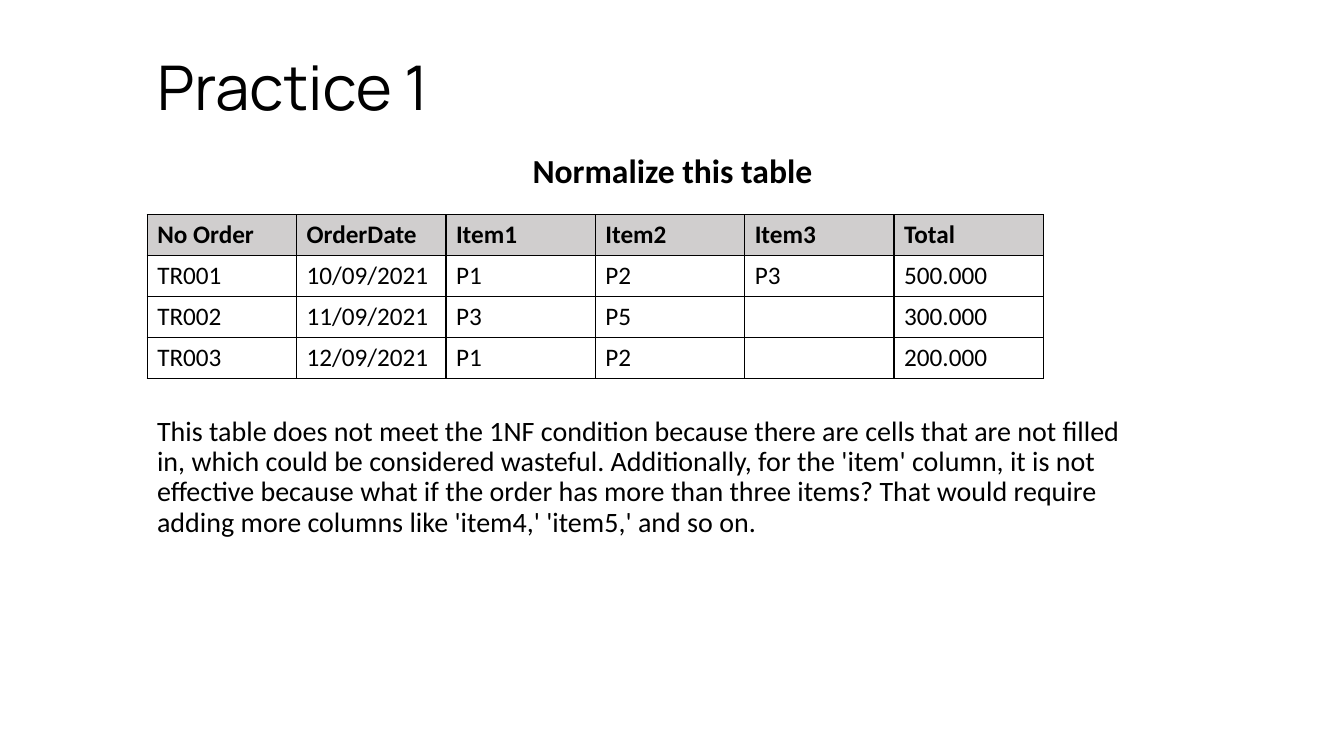
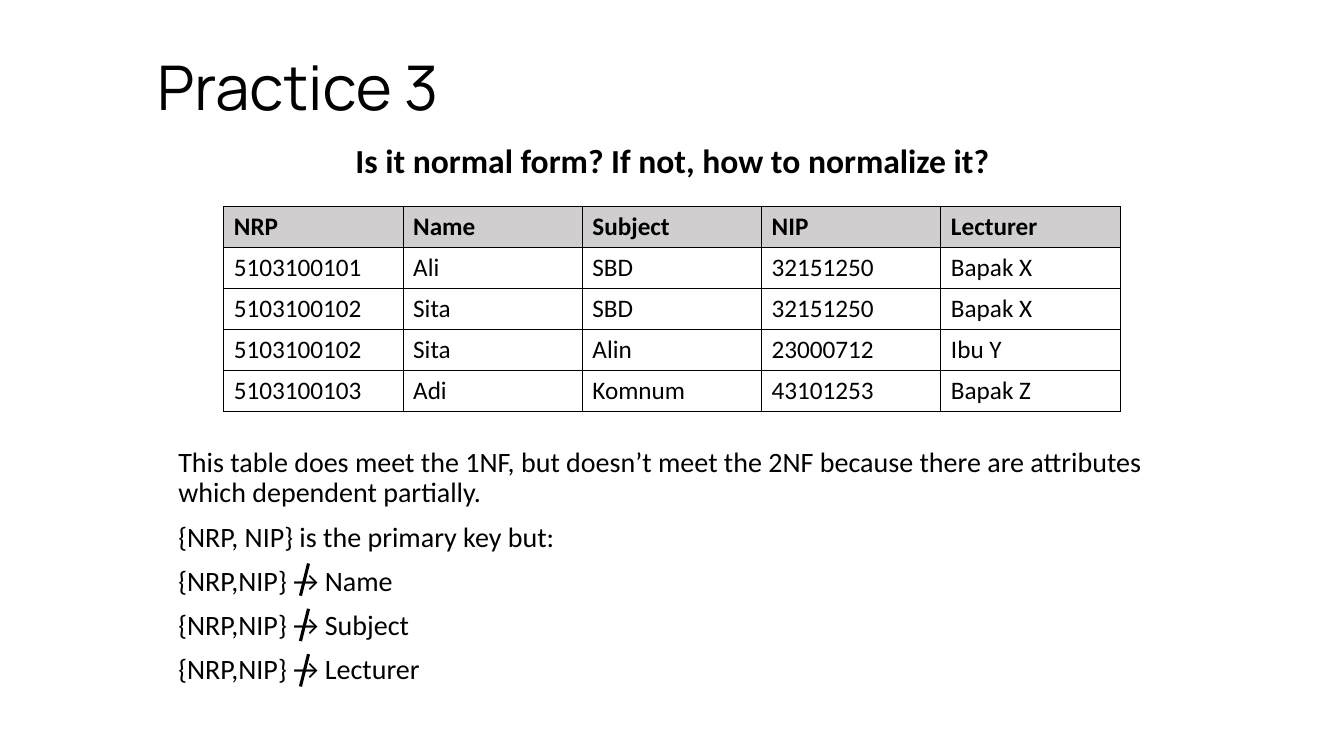
from lxml.etree import SubElement
from pptx import Presentation
from pptx.dml.color import RGBColor
from pptx.enum.shapes import MSO_CONNECTOR
from pptx.enum.text import MSO_ANCHOR, PP_ALIGN
from pptx.oxml.ns import qn
from pptx.util import Inches, Pt

COLORS = {"ink": "000000", "head": "D0CECE", "page": "FFFFFF"}
ROW = 0.406
WIDE = 8.89

ORDERS = [
    ["No Order", "OrderDate", "Item1", "Item2", "Item3", "Total"],
    ["TR001", "10/09/2021", "P1", "P2", "P3", "500.000"],
    ["TR002", "11/09/2021", "P3", "P5", "", "300.000"],
    ["TR003", "12/09/2021", "P1", "P2", "", "200.000"],
]
CLASSES = [
    ["NRP", "Name", "Subject", "NIP", "Lecturer"],
    ["5103100101", "Ali", "SBD", "32151250", "Bapak X"],
    ["5103100102", "Sita", "SBD", "32151250", "Bapak X"],
    ["5103100102", "Sita", "Alin", "23000712", "Ibu Y"],
    ["5103100103", "Adi", "Komnum", "43101253", "Bapak Z"],
]
WASTE = (
    "This table does not meet the 1NF condition because there are cells that "
    "are not filled in, which could be considered wasteful. Additionally, for "
    "the 'item' column, it is not effective because what if the order has more "
    "than three items? That would require adding more columns like 'item4,' "
    "'item5,' and so on."
)
PARTIAL = [
    "This table does meet the 1NF, but doesn’t meet the 2NF because there are "
    "attributes which dependent partially.",
    "{NRP, NIP} is the primary key but:",
] + ["{NRP,NIP} → " + name for name in ("Name", "Subject", "Lecturer")]


def color(name):
    """Return the named colour."""
    return RGBColor.from_string(COLORS[name])


def write(frame, *lines, size=20, font="Calibri", bold=False,
          align=PP_ALIGN.LEFT, space=None, before=0):
    """Fill a text frame with one formatted paragraph per line."""
    for i, line in enumerate(lines):
        para = frame.add_paragraph() if i else frame.paragraphs[0]
        para.alignment = align
        para.line_spacing = space
        para.space_before = Pt(before)
        run = para.add_run()
        run.text = line
        run.font.size = Pt(size)
        run.font.name = font
        run.font.bold = bold
        run.font.color.rgb = color("ink")


def add_text(slide, left, top, height, *lines, anchor=MSO_ANCHOR.TOP,
             space=0.9, before=10, **style):
    """Add a wrapped text box ten inches wide."""
    box = slide.shapes.add_textbox(
        Inches(left), Inches(top), Inches(10), Inches(height))
    frame = box.text_frame
    frame.word_wrap = True
    frame.vertical_anchor = anchor
    write(frame, *lines, space=space, before=before, **style)


def add_page(deck, title):
    """Add a blank slide with the shared title."""
    slide = deck.slides.add_slide(deck.slide_layouts[6])
    slide.background.fill.solid()
    slide.background.fill.fore_color.rgb = color("page")
    add_text(slide, 1.46, 0.35, 0.93, title, size=44, font="Manrope",
             anchor=MSO_ANCHOR.BOTTOM, before=0)
    return slide


def add_edges(cell):
    """Draw a thin line on all four sides of a cell."""
    props = cell._tc.get_or_add_tcPr()
    for side in "LRTB":
        line = SubElement(props, qn("a:ln" + side), w=str(Pt(1)))
        fill = SubElement(line, qn("a:solidFill"))
        SubElement(fill, qn("a:srgbClr"), val=COLORS["ink"])


def add_grid(slide, left, top, rows):
    """Add a bordered table with a shaded header row."""
    count = len(rows[0])
    table = slide.shapes.add_table(
        len(rows), count, Inches(left), Inches(top),
        Inches(WIDE), Inches(ROW * len(rows))).table
    table.horz_banding = False
    for col in table.columns:
        col.width = Inches(WIDE / count)
    for i, row in enumerate(rows):
        table.rows[i].height = Inches(ROW)
        for j, text in enumerate(row):
            cell = table.cell(i, j)
            write(cell.text_frame, text, size=18, bold=i == 0)
            add_edges(cell)
            if i:
                cell.fill.background()
            else:
                cell.fill.solid()
                cell.fill.fore_color.rgb = color("head")


def add_slash(slide, top):
    """Strike through an arrow with a slanted line."""
    line = slide.shapes.add_connector(
        MSO_CONNECTOR.STRAIGHT, Inches(3.06), Inches(top),
        Inches(2.98), Inches(top + 0.32))
    line.line.color.rgb = color("ink")
    line.line.width = Pt(2.25)
    SubElement(line._element.spPr, qn("a:effectLst"))


def main():
    """Build and save both practice slides."""
    deck = Presentation()
    deck.slide_width = Inches(13.33)
    deck.slide_height = Inches(7.5)
    label = {"size": 24, "bold": True, "align": PP_ALIGN.CENTER}

    slide = add_page(deck, "Practice 1")
    add_text(slide, 1.46, 4.09, 1.48, WASTE)
    add_grid(slide, 1.46, 2.13, ORDERS)
    add_text(slide, 1.67, 1.48, 0.58, "Normalize this table", **label)

    slide = add_page(deck, "Practice 3")
    add_text(slide, 1.67, 4.4, 2.75, *PARTIAL)
    add_grid(slide, 2.22, 2.05, CLASSES)
    for i in range(3):
        add_slash(slide, 5.59 + 0.45 * i)
    add_text(slide, 1.67, 1.42, 0.43,
             "Is it normal form? If not, how to normalize it?",
             space=0.8, **label)
    deck.save("out.pptx")


main()
